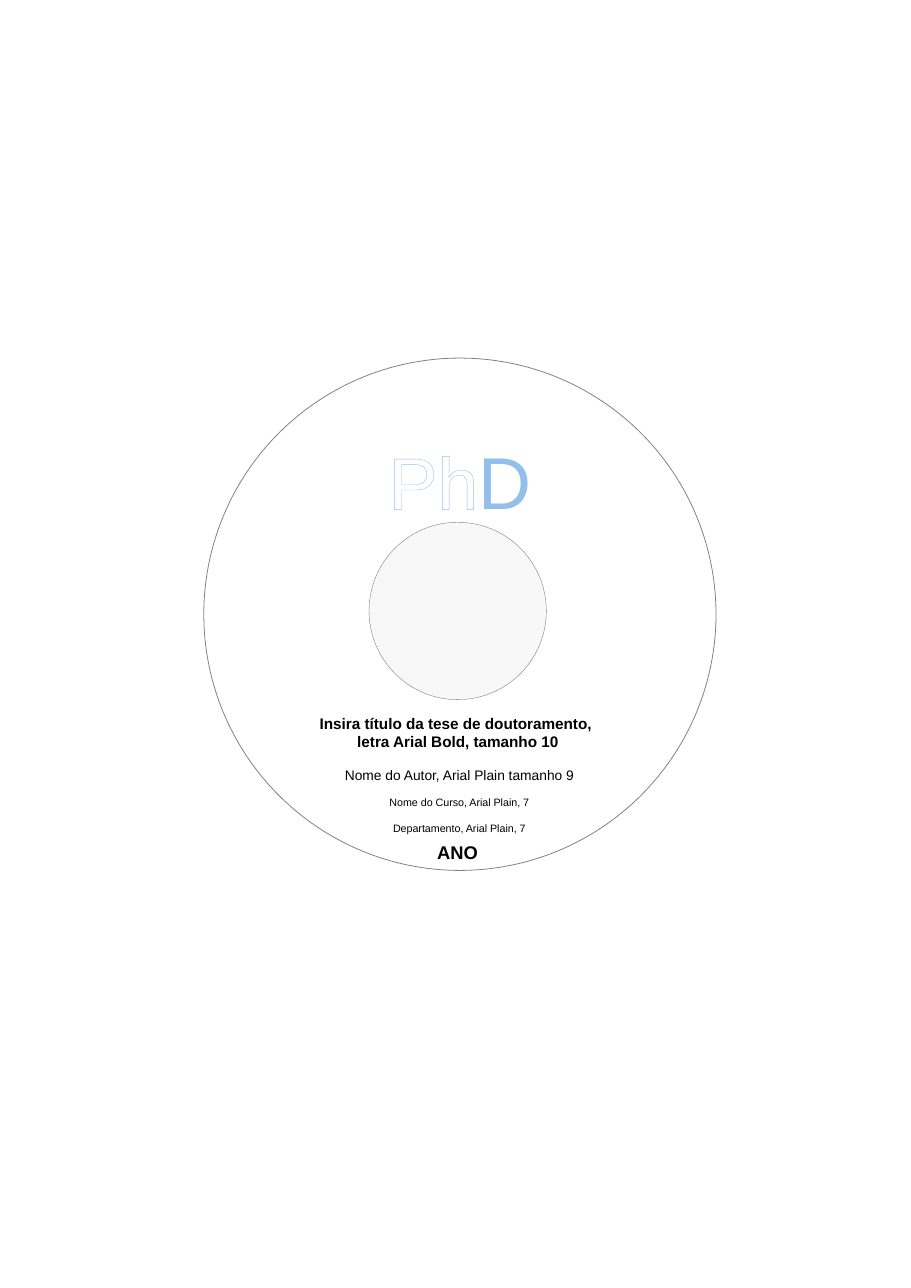
from lxml import etree
from pptx import Presentation
from pptx.dml.color import RGBColor
from pptx.enum.shapes import MSO_SHAPE
from pptx.enum.text import MSO_ANCHOR, MSO_AUTO_SIZE, PP_ALIGN
from pptx.oxml.ns import qn
from pptx.util import Inches, Pt

OVAL = MSO_SHAPE.OVAL
TOP = MSO_ANCHOR.TOP
NO_AUTOFIT = MSO_AUTO_SIZE.NONE
LEFT, CENTER = PP_ALIGN.LEFT, PP_ALIGN.CENTER
TITLE_ONLY = 5

FONT = "Arial"
COLORS = {"white": "FFFFFF", "black": "000000", "blue": "93BFEB",
          "gray": "808080", "hub": "F8F8F8"}

# Content: each line is text, size, space before
TITLE_LINES = [("Insira título da tese de doutoramento, ", 10, 0),
               ("letra Arial Bold, tamanho 10", 10, 0)]
CREDIT_LINES = [("Nome do Autor, Arial Plain tamanho 9", 9, 0),
                ("Nome do Curso, Arial Plain, 7", 7, 8.4),
                ("Departamento, Arial Plain, 7", 7, 8.4)]
YEAR_LINES = [("ANO", 12, 0)]
DEGREE = [("Ph", "white"), ("D", "blue")]
DEGREE_SIZE = 48

# Circles: left, top, diameter, fill, line width
DISC = (1.85, 3.25, 4.65, None, 0.5)
HUB = (3.35, 4.74, 1.61, "hub", 0.25)

# Text areas: left, top, width, height
TITLE_AREA = (2.09, 6.43, 4.13, 0.44)
CREDIT_AREA = (2.95, 6.91, 2.44, 1.06)
YEAR_AREA = (3.87, 7.59, 0.58, 0.3)
DEGREE_AREA = (3.43, 3.91, 1.81, 0.91)


def color(name):
    return RGBColor.from_string(COLORS[name])


def add_circle(slide, left, top, diameter, fill, line_width):
    circle = slide.shapes.add_shape(
        OVAL, *map(Inches, (left, top, diameter, diameter)))
    circle.shadow.inherit = False
    if fill:
        circle.fill.solid()
        circle.fill.fore_color.rgb = color(fill)
    else:
        circle.fill.background()
    circle.line.color.rgb = color("gray")
    circle.line.width = Pt(line_width)


def add_box(slide, area, wrap=True):
    box = slide.shapes.add_textbox(*map(Inches, area))
    box.text_frame.word_wrap = wrap
    return box


def write_lines(box, lines, bold=False, align=CENTER):
    frame = box.text_frame
    for number, (text, size, gap) in enumerate(lines):
        para = frame.add_paragraph() if number else frame.paragraphs[0]
        para.text = text
        para.alignment = align
        para.space_before = Pt(gap)
        para.font.name = FONT
        para.font.size = Pt(size)
        para.font.bold = bold
        para.font.color.rgb = color("black")


def outline_text(span, name, width):
    line = etree.Element(qn("a:ln"), w=str(Pt(width)))
    fill = etree.SubElement(line, qn("a:solidFill"))
    etree.SubElement(fill, qn("a:srgbClr"), val=COLORS[name])
    span.font._element.insert(0, line)


deck = Presentation()
deck.slide_width, deck.slide_height = Inches(8.27), Inches(11.69)
slide = deck.slides.add_slide(deck.slide_layouts[TITLE_ONLY])

# Disc edge
add_circle(slide, *DISC)

# Degree mark, with outlined first letters
degree_para = add_box(slide, DEGREE_AREA).text_frame.paragraphs[0]
degree_para.font.name = FONT
degree_para.font.size = Pt(DEGREE_SIZE)
for text, fill in DEGREE:
    span = degree_para.add_run()
    span.text = text
    span.font.color.rgb = color(fill)
    if fill == "white":
        outline_text(span, "blue", 0.75)

# Thesis title
title = slide.shapes.title
title.left, title.top, title.width, title.height = map(Inches, TITLE_AREA)
title.text_frame.vertical_anchor = TOP
title.text_frame.auto_size = NO_AUTOFIT
write_lines(title, TITLE_LINES, bold=True)

# Author, course, department and year
write_lines(add_box(slide, CREDIT_AREA), CREDIT_LINES)
write_lines(add_box(slide, YEAR_AREA, wrap=False), YEAR_LINES, bold=True, align=LEFT)

# Centre hole
add_circle(slide, *HUB)

deck.save("out.pptx")
